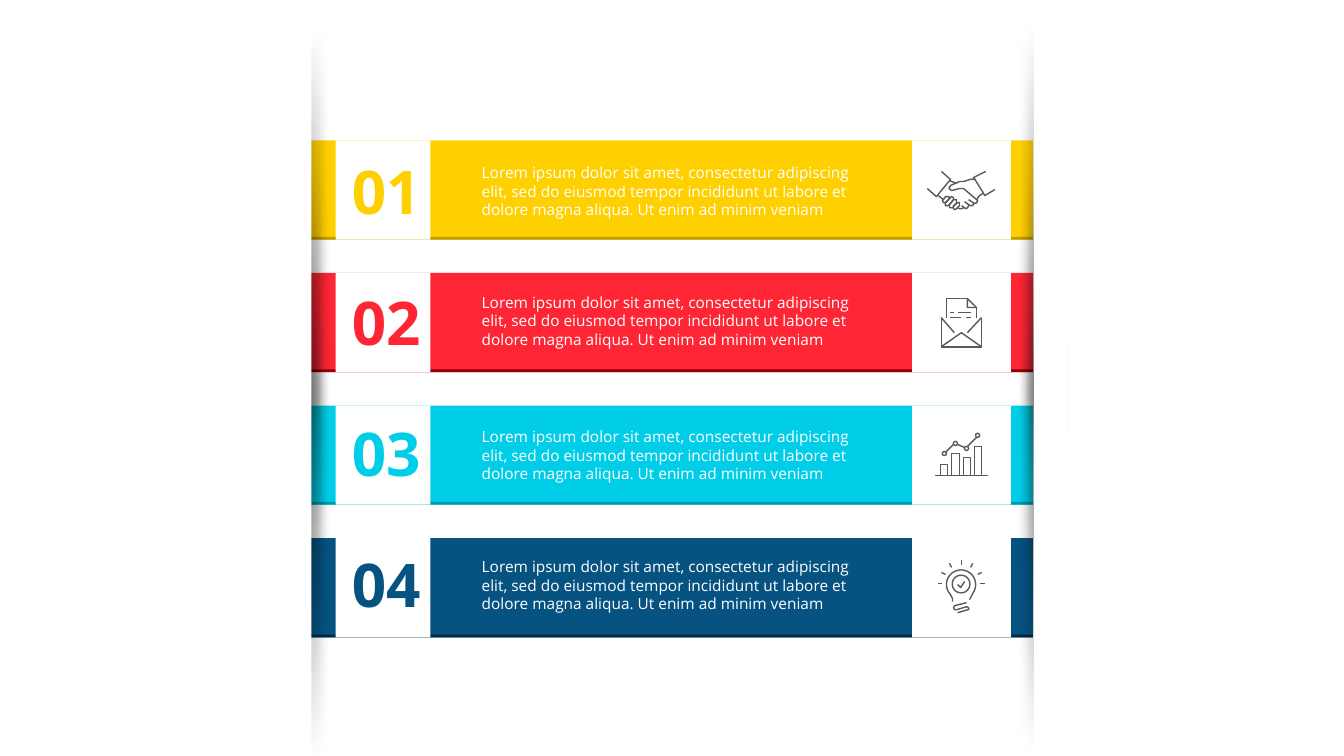
import math

from pptx import Presentation
from pptx import util as u
from pptx.dml.color import RGBColor
from pptx.enum import shapes, text
from pptx.oxml import parse_xml
from pptx.oxml.ns import nsdecls, qn

WHITE = RGBColor(0xFF, 0xFF, 0xFF)
ICON_GREY = RGBColor(0x58, 0x59, 0x5B)
YELLOW, DARK_YELLOW = RGBColor(0xFF, 0xD0, 0x00), RGBColor(0xBF, 0x9C, 0x00)
RED, DARK_RED = RGBColor(0xFE, 0x26, 0x35), RGBColor(0x91, 0x01, 0x0B)
CYAN, DARK_CYAN = RGBColor(0x00, 0xCE, 0xE8), RGBColor(0x00, 0x9A, 0xAE)
BLUE, DARK_BLUE = RGBColor(0x06, 0x53, 0x81), RGBColor(0x03, 0x29, 0x40)

LOREM = ("Lorem ipsum dolor sit amet, consectetur adipiscing elit, sed do eiusmod "
         "tempor incididunt ut labore et dolore magna aliqua. Ut enim ad minim veniam")
NUMBER_FONT = {"name": "Open Sans", "size": u.Pt(43), "bold": True}
BODY_FONT = {"name": "Open Sans", "size": u.Pt(11)}

BAR_LEFT, BAR_TOP, BAR_WIDTH, BAR_HEIGHT = 7.82, 3.54, 18.21, 2.5
BAR_PITCH = 3.34
EDGE_HEIGHT = 0.07
NUMBER_TOP, NUMBER_PITCH = 3.89, 3.3
ICON_UNIT = 0.0254  # cm per icon unit
FINENESS = 10  # steps per icon unit


def arc(cx, cy, radius, start=0, end=360, steps=24):
    """Points along an arc, angles in degrees clockwise from the right."""
    angles = [math.radians(start + (end - start) * i / steps) for i in range(steps + 1)]
    return [(cx + radius * math.cos(a), cy + radius * math.sin(a)) for a in angles]


def chart_column(left, top, width):
    return [(left, 42), (left, top), (left + width, top), (left + width, 42)]


HANDSHAKE = [
    [(18, 31), (16, 31), (15, 29), (16, 28), (18, 25), (20, 25), (21, 25), (22, 26),
     (21, 28), (19, 30), (18, 31)],
    [(41, 28), (47, 32), (49, 31), (50, 29), (49, 28)],
    [(37, 30), (41, 33), (43, 34), (45, 34), (46, 32), (46, 31)],
    [(34, 34), (37, 36), (38, 37), (40, 36), (41, 34), (41, 33)],
    [(30, 36), (32, 37), (34, 37), (36, 36)],
    [(21, 34), (26, 28), (26, 26), (24, 25), (23, 26), (18, 31), (18, 34), (20, 34), (21, 34)],
    [(25, 36), (29, 31), (29, 28), (28, 28), (26, 28), (22, 33), (22, 36), (24, 36), (25, 36)],
    [(31, 35), (32, 34), (32, 31), (30, 31), (29, 32), (26, 34), (26, 37), (28, 38),
     (29, 37), (31, 35)],
    [(58, 0), (46, 6), (56, 22), (57, 24), (67, 18)],
    [(48, 8), (44, 7.5), (36, 10), (32, 10), (23, 14), (21.5, 17), (24, 19), (32, 17),
     (36, 17), (49, 28)],
    [(55, 22), (52, 24), (51, 25), (49, 28)],
    [(0, 17), (9, 25), (23, 8), (14, 0)],
    [(11, 24), (16, 28)],
    [(29, 12), (22, 9)],
]
LETTER = [
    [(40, 19), (40, 48), (0, 48), (0, 19)],
    [(40, 48), (20, 34), (0, 48)],
    [(40, 19), (26, 34)],
    [(0, 19), (13, 34)],
    [(35, 19), (35, 9)],
    [(26, 0), (5, 0), (5, 19)],
    [(35, 9), (26, 0), (26, 9), (35, 9)],
    [(13, 14), (9, 14)],
    [(30, 14), (17, 14)],
    [(9, 19), (20, 19)],
    [(30, 19), (25, 19)],
]
GROWTH_CHART = [
    [(52, 42), (0, 42)],
    *[chart_column(*column) for column in ((5, 31, 7), (16, 20, 8), (28, 24, 7), (39, 13, 7))],
    *[arc(x, y, 2) for x, y in ((9, 20), (20, 10), (31, 15), (42, 2))],
    [(32, 13), (41, 4)],
    [(22, 11), (29, 14)],
    [(18, 11), (10, 19)],
]
BULB = [
    [(14, 41), (14, 38), (12, 34), *arc(22.5, 24, 14.5, 151, 389), (33, 35), (31, 39)],
    arc(22.5, 23.5, 8.75),
    [(19, 24), (22, 27), (26, 21)],
    [(23, 5), (23, 0)],
    [(13, 7), (11, 3)],
    [(3, 12), (7, 14)],
    [(0, 23), (4, 23)],
    [(34, 3), (32, 7)],
    [(43, 12), (39, 14)],
    [(41, 23), (46, 23)],
    [(28, 42), (16, 45), (15, 47), (16, 49), (18, 49), (28, 46), (30, 47), (30, 49),
     (29, 49), (19, 52)],
]

# number, colour, edge colour, body text top, icon strokes, icon left and top
STEPS = [
    ("01", YELLOW, DARK_YELLOW, 3.99, HANDSHAKE, 23.37, 4.32),
    ("02", RED, DARK_RED, 7.26, LETTER, 23.72, 7.52),
    ("03", CYAN, DARK_CYAN, 10.64, GROWTH_CHART, 23.57, 10.92),
    ("04", BLUE, DARK_BLUE, 13.92, BULB, 23.65, 14.12),
]


def add_block(slide, left, top, width, height, color):
    block = slide.shapes.add_shape(shapes.MSO_SHAPE.RECTANGLE, u.Cm(left), u.Cm(top),
                                   u.Cm(width), u.Cm(height))
    block.shadow.inherit = False
    block.fill.solid()
    block.fill.fore_color.rgb = color
    block.line.fill.background()
    return block


def add_label(slide, left, top, width, height, words, font_values, color):
    label = slide.shapes.add_textbox(u.Cm(left), u.Cm(top), u.Cm(width), u.Cm(height))
    frame = label.text_frame
    frame.auto_size = text.MSO_AUTO_SIZE.SHAPE_TO_FIT_TEXT
    frame.word_wrap = True
    run = frame.paragraphs[0].add_run()
    run.text = words
    for attribute, value in font_values.items():
        setattr(run.font, attribute, value)
    run.font.color.rgb = color
    return frame


def add_number(slide, top, words, color):
    frame = add_label(slide, 8.86, top, 1.75, 1.83, words, NUMBER_FONT, color)
    frame.word_wrap = False
    for side in ("left", "top", "right", "bottom"):
        setattr(frame, f"margin_{side}", 0)
    frame.paragraphs[0].alignment = text.PP_ALIGN.CENTER


def add_icon(slide, strokes, left, top):
    strokes = [[(x * FINENESS, y * FINENESS) for x, y in stroke] for stroke in strokes]
    builder = slide.shapes.build_freeform(*strokes[0][0], scale=u.Cm(ICON_UNIT) / FINENESS)
    for stroke in strokes:
        builder.move_to(*stroke[0])
        builder.add_line_segments(stroke[1:], close=stroke[0] == stroke[-1])
    icon = builder.convert_to_shape(u.Cm(left), u.Cm(top))
    icon.shadow.inherit = False
    icon.fill.background()
    icon.line.color.rgb = ICON_GREY
    icon.line.width = u.Pt(1)


def add_side_fold(slide, caster_left, caster_top, cover_left, angle):
    """White margin strip whose shadow falls on the bars and fades at both ends."""
    caster = add_block(slide, caster_left, caster_top, 0.79, 18.36, WHITE)
    properties = caster.fill._xPr
    stops = "".join(
        f'<a:gs pos="{position}"><a:srgbClr val="{WHITE}"><a:alpha val="{alpha}"/></a:srgbClr></a:gs>'
        for position, alpha in ((0, 0), (50000, 100000), (100000, 0)))
    properties.replace(properties.find(qn("a:solidFill")), parse_xml(
        f'<a:gradFill {nsdecls("a")} rotWithShape="1"><a:gsLst>{stops}</a:gsLst>'
        '<a:lin ang="5400000" scaled="0"/></a:gradFill>'))
    properties.find(qn("a:effectLst")).append(parse_xml(
        f'<a:outerShdw {nsdecls("a")} blurRad="{u.Pt(8)}" dist="{u.Pt(7)}" dir="{angle * 60000}" '
        'algn="ctr" rotWithShape="0"><a:srgbClr val="000000"><a:alpha val="55000"/></a:srgbClr>'
        '</a:outerShdw>'))
    add_block(slide, cover_left, 0.25, 0.86, 19.05, WHITE)


def add_bar(slide, top, color, edge_color):
    add_block(slide, BAR_LEFT, top, BAR_WIDTH, BAR_HEIGHT, color)
    add_block(slide, BAR_LEFT, top + BAR_HEIGHT - EDGE_HEIGHT, BAR_WIDTH, EDGE_HEIGHT, edge_color)
    for cell_left, cell_width in ((8.46, 2.39), (22.99, 2.49)):
        add_block(slide, cell_left, top, cell_width, BAR_HEIGHT, WHITE)


def main():
    deck = Presentation()
    deck.slide_width, deck.slide_height = u.Cm(33.87), u.Cm(19.05)
    slide = deck.slides.add_slide(deck.slide_layouts[6])
    for row, (number, color, edge_color, _, strokes, icon_left, icon_top) in enumerate(STEPS):
        add_bar(slide, BAR_TOP + row * BAR_PITCH, color, edge_color)
        add_number(slide, NUMBER_TOP + row * NUMBER_PITCH, number, color)
        add_icon(slide, strokes, icon_left, icon_top)
    add_side_fold(slide, 7.04, 0.74, 6.99, 0)
    add_side_fold(slide, 26.11, 0.48, 26.06, 150)
    for _, _, _, body_top, *_ in STEPS:
        add_label(slide, 11.89, body_top, 9.98, 1.68, LOREM, BODY_FONT, WHITE)
    deck.save("out.pptx")


if __name__ == "__main__":
    main()
